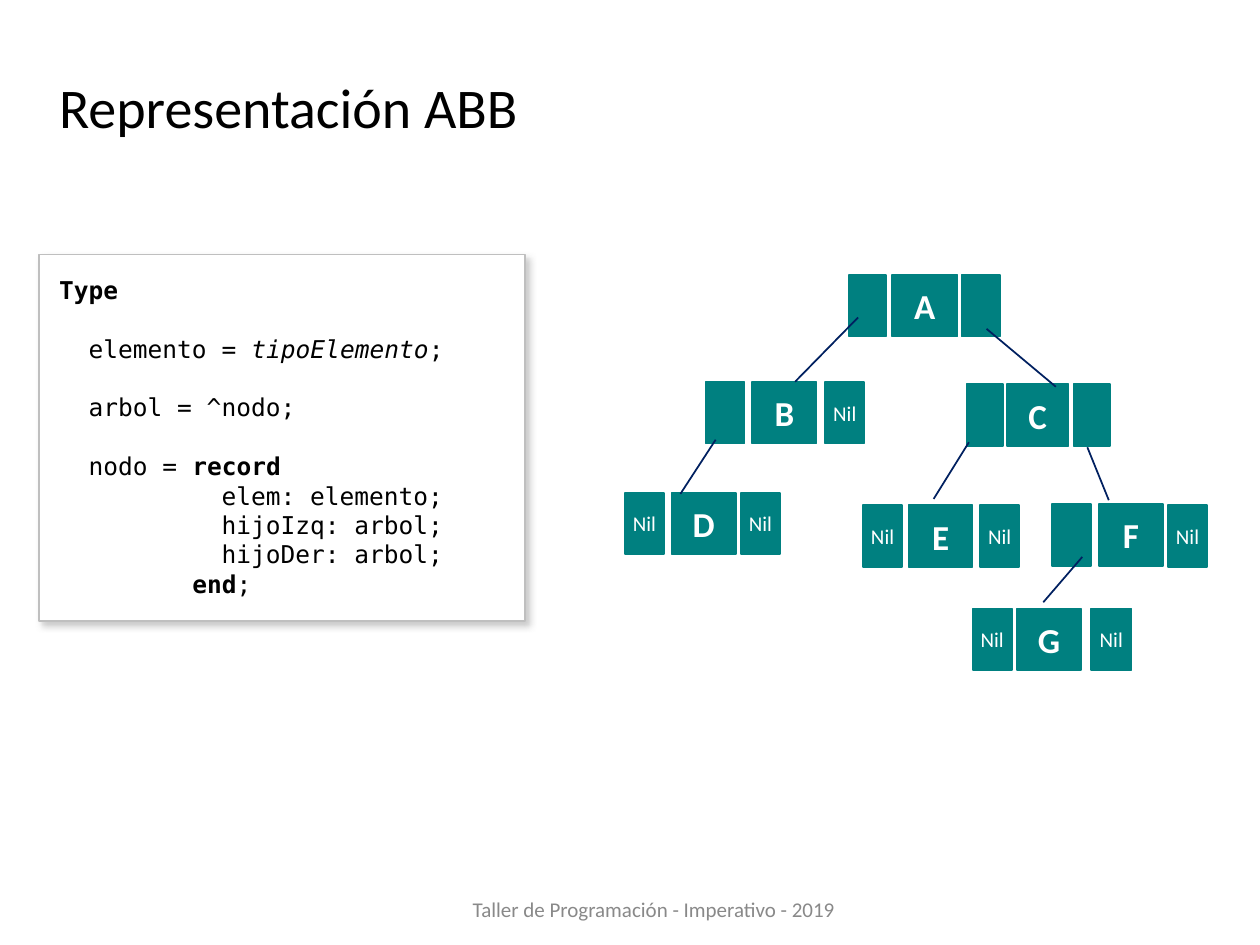
from dataclasses import dataclass
from typing import NamedTuple

from lxml import etree
from pptx import Presentation
from pptx import util as u
from pptx.dml.color import RGBColor
from pptx.enum import shapes, text
from pptx.oxml.ns import qn

TEAL, NAVY, WHITE, BLACK = "008080", "002060", "FFFFFF", "000000"
SILVER, GRAY, SHADOW = "BFBFBF", "898989", "808080"
SANS, MONO = "Calibri", "DejaVu Sans Mono"
CELL_HEIGHT = 0.49
CODE_LINE = 16.8


class Span(NamedTuple):
    text: str
    bold: bool = False
    italic: bool = False


class CodeLine(NamedTuple):
    spans: list[Span]
    gap: float = 0


class Cell(NamedTuple):
    left: float
    width: float = 0.31
    label: str = ""


@dataclass
class Node:
    top: float
    key: Cell
    left_child: Cell
    right_child: Cell
    right_drop: float = 0


class Edge(NamedTuple):
    x1: float
    y1: float
    x2: float
    y2: float


NODES = [
    Node(2.18, Cell(7.08, 0.52, "A"), Cell(6.74, 0.29), Cell(7.63)),
    Node(3.03, Cell(5.97, 0.51, "B"), Cell(5.6), Cell(6.55, label="Nil")),
    Node(3.05, Cell(7.99, 0.49, "C"), Cell(7.67, 0.29), Cell(8.52, 0.29)),
    Node(3.91, Cell(5.33, 0.51, "D"), Cell(4.96, label="Nil"), Cell(5.88, label="Nil")),
    Node(4.01, Cell(7.21, 0.51, "E"), Cell(6.85, label="Nil"), Cell(7.78, label="Nil")),
    Node(4, Cell(8.72, 0.51, "F"), Cell(8.35), Cell(9.27, label="Nil"), 0.01),
    Node(4.83, Cell(8.07, 0.51, "G"), Cell(7.72, label="Nil"), Cell(8.66, 0.32, "Nil")),
]

EDGES = [
    Edge(6.81, 2.52, 6.31, 3.03),
    Edge(7.83, 2.61, 8.38, 3.07),
    Edge(8.63, 3.55, 8.8, 3.97),
    Edge(5.68, 3.49, 5.4, 3.92),
    Edge(7.69, 3.51, 7.41, 3.96),
    Edge(8.59, 4.42, 8.28, 4.78),
]

CODE = [
    CodeLine([Span("Type", bold=True)]),
    CodeLine([Span("  elemento = "), Span("tipoElemento", italic=True), Span(";")], CODE_LINE),
    CodeLine([Span("  arbol = ^nodo;")], CODE_LINE),
    CodeLine([Span("  nodo = "), Span("record", bold=True)], CODE_LINE),
    CodeLine([Span("           elem: elemento;")]),
    CodeLine([Span("           hijoIzq: arbol;")]),
    CodeLine([Span("           hijoDer: arbol;")]),
    CodeLine([Span("         "), Span("end", bold=True), Span(";")]),
]


def color(value: str) -> RGBColor:
    return RGBColor.from_string(value)


def write(para, content: str, *, size: float, ink: str, font: str = SANS,
          bold: bool = False, italic: bool = False,
          align=text.PP_ALIGN.LEFT) -> None:
    para.alignment = align
    span = para.add_run()
    span.text = content
    span.font.name = font
    span.font.size = u.Pt(size)
    span.font.bold = bold
    span.font.italic = italic
    span.font.color.rgb = color(ink)


def add_box(page, left: float, top: float, width: float, height: float,
            fill: str, line: str | None = None):
    box = page.shapes.add_shape(
        shapes.MSO_SHAPE.RECTANGLE,
        u.Inches(left), u.Inches(top), u.Inches(width), u.Inches(height))
    box.shadow.inherit = False
    box.fill.solid()
    box.fill.fore_color.rgb = color(fill)
    if line:
        box.line.color.rgb = color(line)
        box.line.width = u.Pt(1)
    else:
        box.line.fill.background()
    return box


def add_cell(page, cell: Cell, top: float, size: float, bold: bool) -> None:
    box = add_box(page, cell.left, top, cell.width, CELL_HEIGHT, TEAL, TEAL)
    if cell.label:
        frame = box.text_frame
        frame.word_wrap = False
        frame.vertical_anchor = text.MSO_ANCHOR.MIDDLE
        write(frame.paragraphs[0], cell.label, size=size, ink=WHITE, bold=bold,
              align=text.PP_ALIGN.CENTER)


def add_node(page, node: Node) -> None:
    add_cell(page, node.key, node.top, 20, True)
    add_cell(page, node.left_child, node.top, 12, False)
    add_cell(page, node.right_child, node.top + node.right_drop, 12, False)


def add_edge(page, edge: Edge) -> None:
    line = page.shapes.add_connector(
        shapes.MSO_CONNECTOR.STRAIGHT, *(u.Inches(value) for value in edge))
    line.line.color.rgb = color(NAVY)
    line.line.width = u.Pt(1)
    etree.SubElement(line._element.spPr, qn("a:effectLst"))


def add_shadow(box) -> None:
    effects = box._element.spPr.find(qn("a:effectLst"))
    shadow = etree.SubElement(
        effects, qn("a:outerShdw"), blurRad=str(u.Pt(4)), dist=str(u.Pt(3)),
        dir=str(45 * 60000), algn="tl", rotWithShape="0")
    tint = etree.SubElement(shadow, qn("a:srgbClr"), val=SHADOW)
    etree.SubElement(tint, qn("a:alpha"), val="40000")


def add_title(page) -> None:
    frame = add_box(page, 0.37, 0.46, 8.52, 0.77, WHITE).text_frame
    frame.word_wrap = True
    frame.vertical_anchor = text.MSO_ANCHOR.MIDDLE
    write(frame.paragraphs[0], "Representación ABB", size=32, ink=BLACK)


def add_code(page) -> None:
    box = add_box(page, 0.31, 2.02, 3.86, 2.91, WHITE, SILVER)
    add_shadow(box)
    frame = box.text_frame
    frame.word_wrap = True
    frame.auto_size = text.MSO_AUTO_SIZE.SHAPE_TO_FIT_TEXT
    frame.vertical_anchor = text.MSO_ANCHOR.TOP
    frame.margin_left = frame.margin_right = u.Inches(0.16)
    frame.margin_top = frame.margin_bottom = u.Inches(0.16)
    for index, line in enumerate(CODE):
        para = frame.add_paragraph() if index else frame.paragraphs[0]
        if line.gap:
            para.space_before = u.Pt(line.gap)
        for span in line.spans:
            write(para, span.text, size=14, ink=BLACK, font=MONO,
                  bold=span.bold, italic=span.italic)


def add_footer(page) -> None:
    box = page.shapes.add_textbox(
        u.Inches(2.91), u.Inches(6.98), u.Inches(4.56), u.Inches(0.4))
    frame = box.text_frame
    frame.word_wrap = True
    frame.vertical_anchor = text.MSO_ANCHOR.MIDDLE
    para = frame.paragraphs[0]
    para.line_spacing = 1.35
    write(para, "Taller de Programación - Imperativo - 2019", size=12,
          ink=GRAY, align=text.PP_ALIGN.CENTER)


def main() -> None:
    deck = Presentation()
    deck.slide_width, deck.slide_height = u.Inches(10), u.Inches(7.5)
    page = deck.slides.add_slide(deck.slide_layouts[6])
    add_title(page)
    for node in NODES:
        add_node(page, node)
    for edge in EDGES:
        add_edge(page, edge)
    add_code(page)
    add_footer(page)
    deck.save("out.pptx")


if __name__ == "__main__":
    main()
